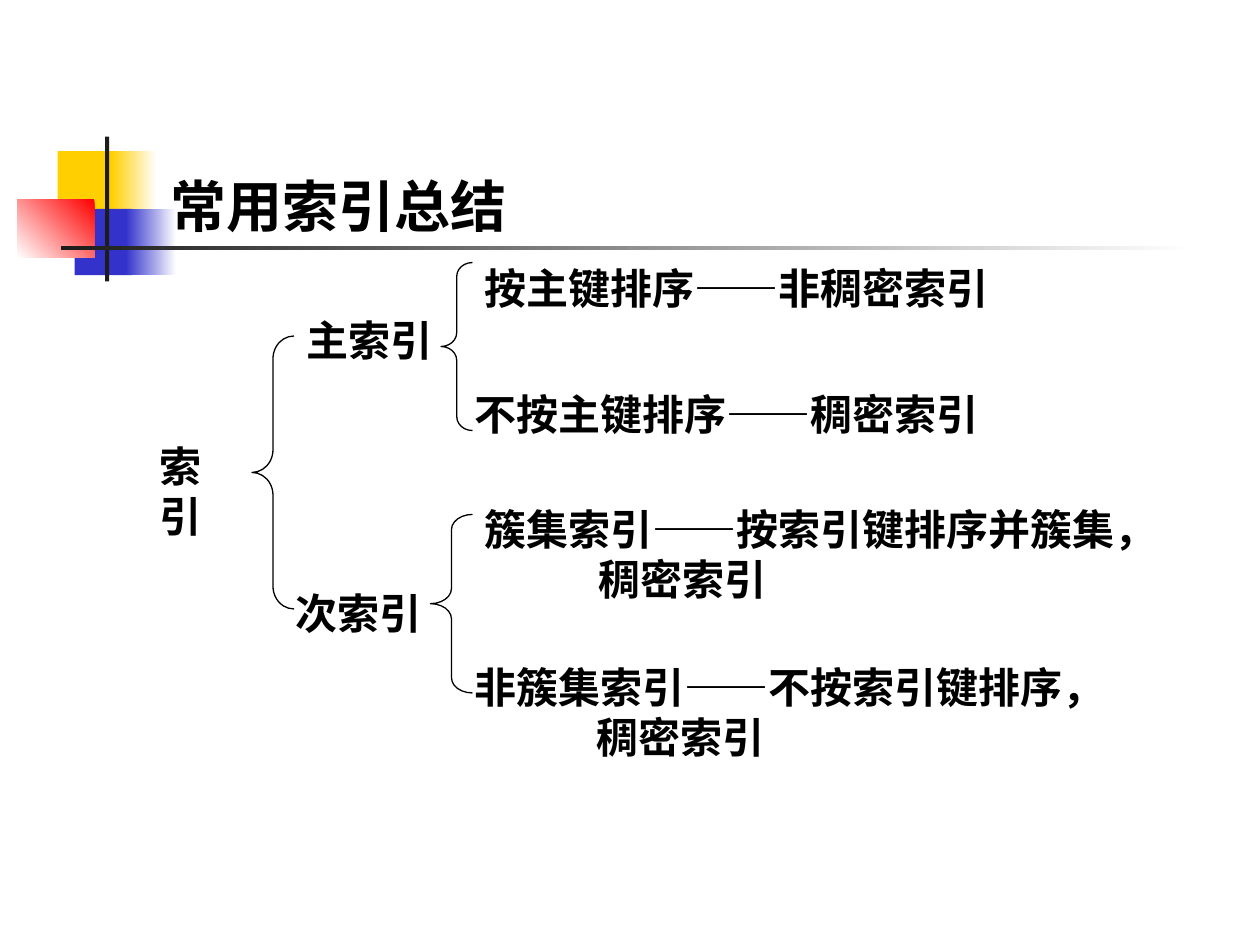
from lxml.etree import SubElement
from pptx import Presentation
from pptx.dml.color import RGBColor
from pptx.enum.shapes import MSO_SHAPE
from pptx.enum.text import MSO_ANCHOR, MSO_AUTO_SIZE
from pptx.oxml.ns import qn
from pptx.util import Inches, Pt

COLORS = {
    "black": "000000",
    "white": "FFFFFF",
    "yellow": "FFCF01",
    "blue": "3333CC",
    "red": "FF0000",
    "charcoal": "1C1C1C",
}
CELLS_PER_INCH = 12
CJK_FONT = "Noto Sans CJK SC"
LINE_HEIGHT = 1.2

DECORATIONS = [
    ((5.5, 14.4, 5.8, 6.3), ["yellow"], 0),
    ((10.6, 14.4, 4.3, 6.3), ["white", "yellow"], 180),
    ((7.1, 19.9, 5.5, 6.3), ["blue"], 0),
    ((12, 19.9, 4.8, 6.3), ["white", "blue"], 180),
    ((1.65, 19, 7.35, 5.5), ["red", "white"], 225),
    ((10, 13, 0.4, 13.8), ["charcoal"], 0),
    ((5.8, 23.4, 108, 0.4), ["white", "charcoal"], 180),
]
BRACES = [
    ((24, 32, 4, 26), 0.54),
    ((42, 25, 3, 16), 0.44),
    ((41, 49, 4, 17), 0.36),
]
LABELS = [
    ((28, 29, 15, 6), ["主索引"], 0),
    ((27, 55, 15, 6), ["次索引"], 0),
    ((45, 24, 53, 6), ["按主键排序——非稠密索引"], 0),
    ((44, 36, 53, 6), ["不按主键排序——稠密索引"], 0),
    ((45, 47, 67, 10.8), ["簇集索引——按索引键排序并簇集，", "稠密索引"], 0.9),
    ((44, 62, 67, 10.8), ["非簇集索引——不按索引键排序，", "稠密索引"], 0.97),
]


def color(name):
    return RGBColor.from_string(COLORS[name])


def place(cells):
    return [Inches(cell / CELLS_PER_INCH) for cell in cells]


def add_block(slide, cells, fill_colors, angle):
    shape = slide.shapes.add_shape(MSO_SHAPE.RECTANGLE, *place(cells))
    shape.shadow.inherit = False
    shape.line.fill.background()
    if len(fill_colors) == 1:
        shape.fill.solid()
        shape.fill.fore_color.rgb = color(fill_colors[0])
        return
    shape.fill.gradient()
    shape.fill.gradient_angle = angle
    for stop, name in zip(shape.fill.gradient_stops, fill_colors):
        stop.color.rgb = color(name)


def add_brace(slide, cells, curve):
    shape = slide.shapes.add_shape(MSO_SHAPE.LEFT_BRACE, *place(cells))
    shape.shadow.inherit = False
    shape.fill.background()
    shape.line.color.rgb = color("black")
    shape.line.width = Pt(0.75)
    shape.adjustments[0] = curve


def add_run(paragraph, text, size, font_name):
    run = paragraph.add_run()
    run.text = text
    run.font.size = Pt(size)
    run.font.bold = True
    run.font.color.rgb = color("black")
    run.font.name = font_name
    SubElement(run.font._element, qn("a:ea"), typeface=CJK_FONT)


def add_text(slide, cells, lines, indent=0, size=24, font_name=CJK_FONT, wrap=True):
    shape = slide.shapes.add_textbox(*place(cells))
    frame = shape.text_frame
    frame.word_wrap = wrap
    frame.auto_size = MSO_AUTO_SIZE.SHAPE_TO_FIT_TEXT
    frame.margin_top, frame.margin_bottom = Inches(0.08), Inches(0.02)
    for index, line in enumerate(lines):
        paragraph = frame.add_paragraph() if index else frame.paragraphs[0]
        paragraph.line_spacing = Pt(size * LINE_HEIGHT)
        if index:
            paragraph._p.get_or_add_pPr().set("indent", str(Inches(indent)))
        add_run(paragraph, line, size, font_name)
    return frame


def add_title(slide, text):
    frame = add_text(slide, (15.1, 8, 102.2, 15), [text], size=32, font_name="Lato")
    frame.auto_size = MSO_AUTO_SIZE.NONE
    frame.vertical_anchor = MSO_ANCHOR.BOTTOM


def main():
    presentation = Presentation()
    presentation.slide_width, presentation.slide_height = Inches(10), Inches(7.5)
    slide = presentation.slides.add_slide(presentation.slide_layouts[6])
    for cells, fill_colors, angle in DECORATIONS:
        add_block(slide, cells, fill_colors, angle)
    add_title(slide, "常用索引总结")
    add_text(slide, (14, 41, 10.3, 6), ["索引"], wrap=False)
    for cells, curve in BRACES:
        add_brace(slide, cells, curve)
    for cells, lines, indent in LABELS:
        add_text(slide, cells, lines, indent)
    presentation.save("out.pptx")


if __name__ == "__main__":
    main()
